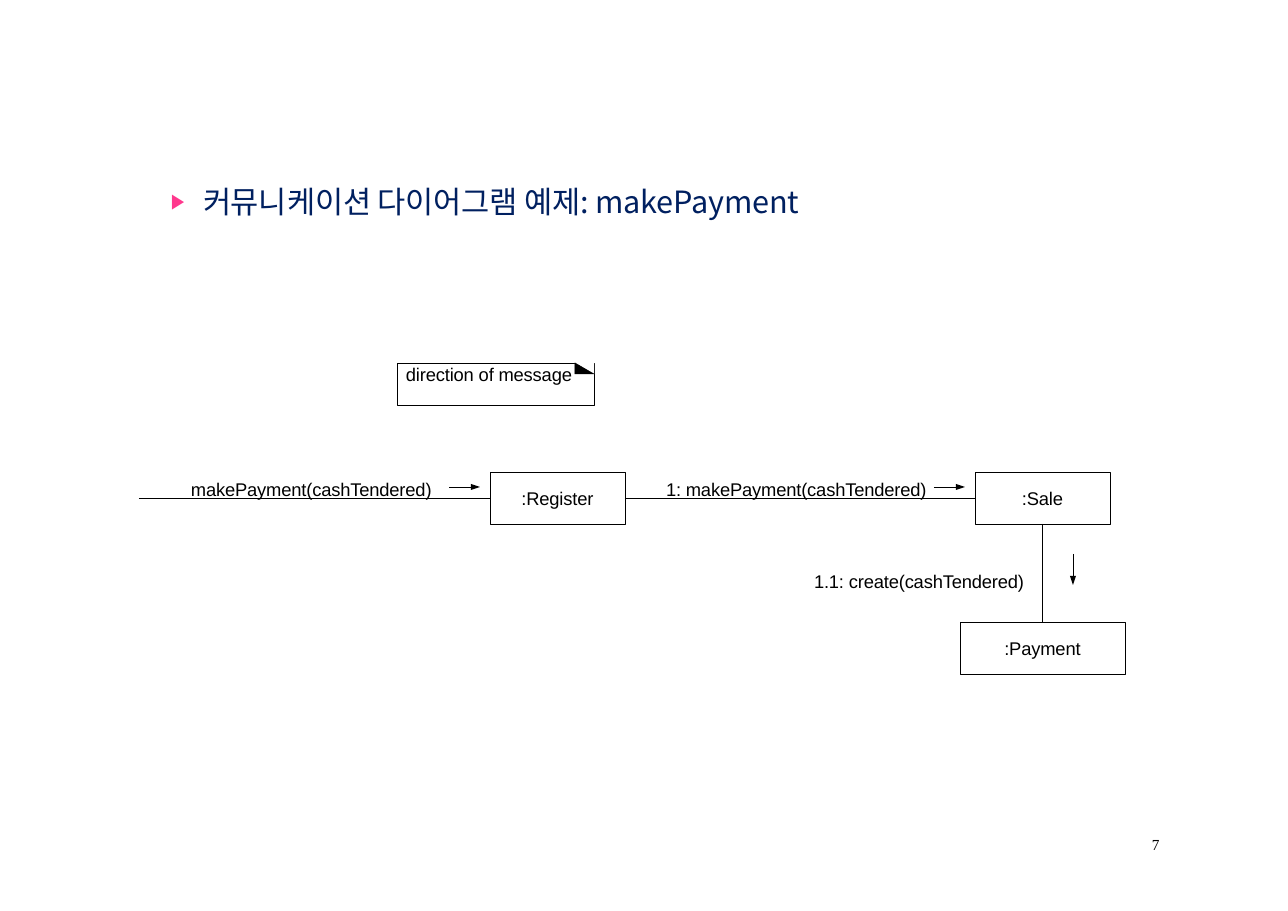
from lxml import etree
from pptx import Presentation
from pptx import util as u
from pptx.dml.color import RGBColor
from pptx.enum import shapes, text
from pptx.oxml.ns import qn

PX = 914400 / 110.2
BLACK = RGBColor(0, 0, 0)
WHITE = RGBColor(255, 255, 255)
NAVY = RGBColor(0, 32, 96)
PINK = RGBColor(255, 56, 141)
HAIRLINE = u.Pt(0.34)
KOREAN_FONT = "Noto Sans CJK KR"

SLIDE_SIZE = (1288, 911)
HEADING = ("커뮤니케이션 다이어그램 예제: makePayment", (171, 183, 663, 34))
HEADING_INDENT = 32
OBJECTS = {
    ":Register": (490, 472, 135, 52),
    ":Sale": (975, 472, 135, 52),
    ":Payment": (960, 622, 165, 52),
}
CALLER_END = (139, 498)
LINKS = [(":Register", 3, ":Sale", 1), (":Sale", 2, ":Payment", 0)]
MESSAGES = [
    ("makePayment(cashTendered)", (191, 478, 250, 22)),
    ("1: makePayment(cashTendered)", (666, 478, 270, 22)),
    ("1.1: create(cashTendered)", (814, 570, 220, 22)),
]
DIRECTIONS = [(449, 487, 480, 487), (934, 487, 965, 487), (1073, 554, 1073, 585)]
NOTE = ("direction of message", (397, 363, 197, 42))
NOTE_INDENT = 9
FOLD = (19, 11)
PAGE_NUMBER = ("7", (1152, 835, 20, 19))


def emu(*lengths):
    return [u.Emu(round(length * PX)) for length in lengths]


def write(shape, words, size=12, font="Arial", colour=BLACK, tracking=-10):
    frame = shape.text_frame
    frame.margin_left = frame.margin_right = frame.margin_top = frame.margin_bottom = 0
    frame.word_wrap = False
    frame.text = words
    run = frame.paragraphs[0].runs[0]
    run.font.size, run.font.name = u.Pt(size), font
    run.font.color.rgb = colour
    run._r.get_or_add_rPr().set("spc", str(tracking))
    return frame


def add_label(words, place, **style):
    return write(slide.shapes.add_textbox(*emu(*place)), words, **style)


def add_box(place):
    box = slide.shapes.add_shape(shapes.MSO_SHAPE.RECTANGLE, *emu(*place))
    box.shadow.inherit = False
    box.fill.background()
    box.line.color.rgb, box.line.width = BLACK, HAIRLINE
    return box


def add_line(x1, y1, x2, y2):
    line = slide.shapes.add_connector(shapes.MSO_CONNECTOR.STRAIGHT, *emu(x1, y1, x2, y2))
    line.line.color.rgb, line.line.width = BLACK, HAIRLINE
    etree.SubElement(line._element.spPr, qn("a:effectLst"))
    return line


def add_triangle(points, colour):
    pen = slide.shapes.build_freeform(*points[0], scale=PX)
    pen.add_line_segments(points[1:], close=True)
    triangle = pen.convert_to_shape()
    triangle.shadow.inherit = False
    triangle.fill.solid()
    triangle.fill.fore_color.rgb = triangle.line.color.rgb = colour
    triangle.line.width = HAIRLINE


deck = Presentation()
deck.slide_width, deck.slide_height = emu(*SLIDE_SIZE)
slide = deck.slides.add_slide(deck.slide_layouts[6])

heading = add_label(*HEADING, size=20, font=KOREAN_FONT, colour=NAVY, tracking=-15).paragraphs[0]
indent = emu(HEADING_INDENT)[0]
heading_props = heading._p.get_or_add_pPr()
heading_props.set("marL", str(indent))
heading_props.set("indent", str(-indent))
bullet_colour = etree.SubElement(heading_props, qn("a:buClr"))
etree.SubElement(bullet_colour, qn("a:srgbClr"), val=str(PINK))
etree.SubElement(heading_props, qn("a:buSzPct"), val="67500")
etree.SubElement(heading_props, qn("a:buFont"), typeface="Arial")
etree.SubElement(heading_props, qn("a:buChar"), char="▶")
etree.SubElement(heading.runs[0]._r.get_or_add_rPr(), qn("a:ea"), typeface=KOREAN_FONT)

objects = {}
for name, place in OBJECTS.items():
    objects[name] = add_box(place)
    frame = write(objects[name], name)
    frame.vertical_anchor = text.MSO_ANCHOR.MIDDLE
    frame.paragraphs[0].alignment = text.PP_ALIGN.CENTER

caller = add_line(*CALLER_END, *CALLER_END)
caller.end_connect(objects[":Register"], 1)
for source, source_side, target, target_side in LINKS:
    link = add_line(0, 0, 0, 0)
    link.begin_connect(objects[source], source_side)
    link.end_connect(objects[target], target_side)

for words, place in MESSAGES:
    add_label(words, place)

for ends in DIRECTIONS:
    direction = add_line(*ends)
    etree.SubElement(direction.line._get_or_add_ln(), qn("a:tailEnd"),
                     type="triangle", w="sm", len="med")

note_words, note_place = NOTE
note = write(add_box(note_place), note_words)
note.margin_left = emu(NOTE_INDENT)[0]
note.vertical_anchor = text.MSO_ANCHOR.TOP
note.paragraphs[0].alignment = text.PP_ALIGN.LEFT

left, top, width, height = note_place
right = left + width
fold_left, fold_bottom = right - FOLD[0], top + FOLD[1]
add_triangle([(fold_left, top), (right, fold_bottom), (right, top)], WHITE)
add_triangle([(fold_left, top), (right, fold_bottom), (fold_left, fold_bottom)], BLACK)

add_label(*PAGE_NUMBER, size=10, font="Times New Roman", tracking=0)

deck.save("out.pptx")
